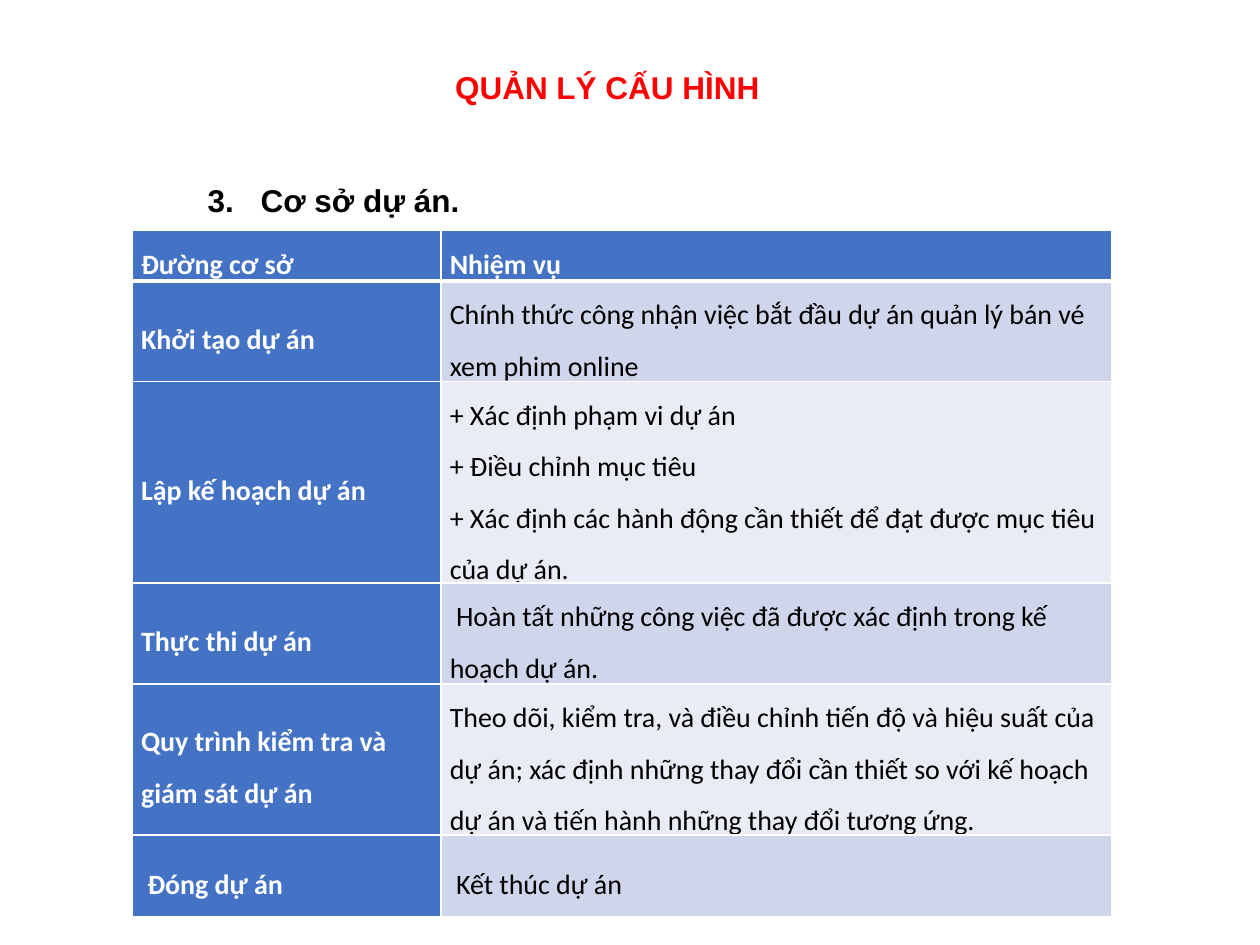
import pptx
import pptx.util
import pptx.dml.color
import pptx.enum.text
import pptx.oxml.ns
import lxml.etree
from dataclasses import dataclass

Inches, Pt = pptx.util.Inches, pptx.util.Pt
PP = pptx.enum.text

COLORS = {"title": "FF0000", "ink": "000000", "white": "FFFFFF",
          "accent": "4472C4", "band_dark": "CFD5EA", "band_light": "E9EBF5"}
COLUMN_WIDTHS = (2.45, 5.32)
TABLE_LEFT, TABLE_TOP = 1.05, 1.83


@dataclass
class Baseline:
    name: str
    task: str
    height: float


BASELINES = [
    Baseline("Đường cơ sở", "Nhiệm vụ", 0.38),
    Baseline("Khởi tạo dự án",
             "Chính thức công nhận việc bắt đầu dự án quản lý bán vé xem phim online", 0.7),
    Baseline("Lập kế hoạch dự án",
             "+ Xác định phạm vi dự án\n+\u00a0Điều chỉnh mục tiêu\n"
             "+ Xác định các hành động cần thiết để đạt được mục tiêu của dự án.", 1.15),
    Baseline("Thực thi dự án",
             "\u00a0Hoàn tất những công việc đã được xác định trong kế hoạch dự án.", 0.73),
    Baseline("Quy trình\u00a0kiểm tra và giám sát dự án",
             "Theo dõi, kiểm tra, và điều chỉnh tiến độ và hiệu suất của dự án; "
             "xác định những thay đổi cần thiết so với kế hoạch dự án và "
             "tiến hành những thay đổi tương ứng.", 1.15),
    Baseline("\u00a0Đóng dự án", "\u00a0Kết thúc dự án", 0.65),
]


def rgb(name: str) -> pptx.dml.color.RGBColor:
    return pptx.dml.color.RGBColor.from_string(COLORS[name])


def format_runs(frame, font: str, size: int, color: str, bold: bool) -> None:
    for para in frame.paragraphs:
        for span in para.runs:
            span.font.name, span.font.size = font, Pt(size)
            span.font.bold, span.font.color.rgb = bold, rgb(color)


def add_borders(cell, top: int, bottom: int) -> None:
    properties = cell._tc.get_or_add_tcPr()
    for side, width in (("L", 1), ("R", 1), ("T", top), ("B", bottom)):
        line = lxml.etree.SubElement(properties, pptx.oxml.ns.qn(f"a:ln{side}"), w=str(Pt(width)))
        fill = lxml.etree.SubElement(line, pptx.oxml.ns.qn("a:solidFill"))
        lxml.etree.SubElement(fill, pptx.oxml.ns.qn("a:srgbClr"), val=COLORS["white"])


def fill_cell(cell, text: str, row: int, column: int) -> None:
    strong = row == 0 or column == 0
    band = "band_dark" if row % 2 else "band_light"
    add_borders(cell, top=3 if row == 1 else 1, bottom=3 if row == 0 else 1)
    cell.fill.solid()
    cell.fill.fore_color.rgb = rgb("accent" if strong else band)
    cell.vertical_anchor = PP.MSO_ANCHOR.MIDDLE
    cell.margin_left = cell.margin_right = Inches(0.07)
    cell.margin_top = cell.margin_bottom = 0
    cell.text_frame.text = text
    for para in cell.text_frame.paragraphs:
        para.line_spacing = 1.5
    format_runs(cell.text_frame, "Calibri", 16, "white" if strong else "ink", strong)


deck = pptx.Presentation()
deck.slide_width, deck.slide_height = Inches(10), Inches(7.5)
page = deck.slides.add_slide(deck.slide_layouts[5])

# Title
title = page.shapes.title
title.left, title.top, title.width, title.height = map(Inches, (3.5, 0.49, 2.64, 0.4))
title.text_frame.text = "QUẢN LÝ CẤU HÌNH"
title.text_frame.word_wrap = False
title.text_frame.auto_size = PP.MSO_AUTO_SIZE.NONE
title.text_frame.paragraphs[0].alignment = PP.PP_ALIGN.CENTER
format_runs(title.text_frame, "Arial", 18, "title", True)

# Numbered heading with a hanging indent
heading = page.shapes.add_textbox(*map(Inches, (TABLE_LEFT, 1.37, 2.72, 0.4)))
heading.text_frame.text = "3.\tCơ sở dự án."
heading.text_frame.word_wrap = False
para = heading.text_frame.paragraphs[0]
para.line_spacing, para.space_after = 1.07, Pt(8)
indents = para._p.get_or_add_pPr()
indents.set("marL", str(Inches(0.92)))
indents.set("indent", str(Inches(-0.42)))
format_runs(heading.text_frame, "Arial", 18, "ink", True)

# Table of baselines and tasks
frame = page.shapes.add_table(
    len(BASELINES), len(COLUMN_WIDTHS), Inches(TABLE_LEFT), Inches(TABLE_TOP),
    Inches(sum(COLUMN_WIDTHS)), Inches(sum(item.height for item in BASELINES)))
table = frame.table
table.first_col = True
for column, width in enumerate(COLUMN_WIDTHS):
    table.columns[column].width = Inches(width)
for row, item in enumerate(BASELINES):
    table.rows[row].height = Inches(item.height)
    for column, text in enumerate((item.name, item.task)):
        fill_cell(table.cell(row, column), text, row, column)

deck.save("out.pptx")
